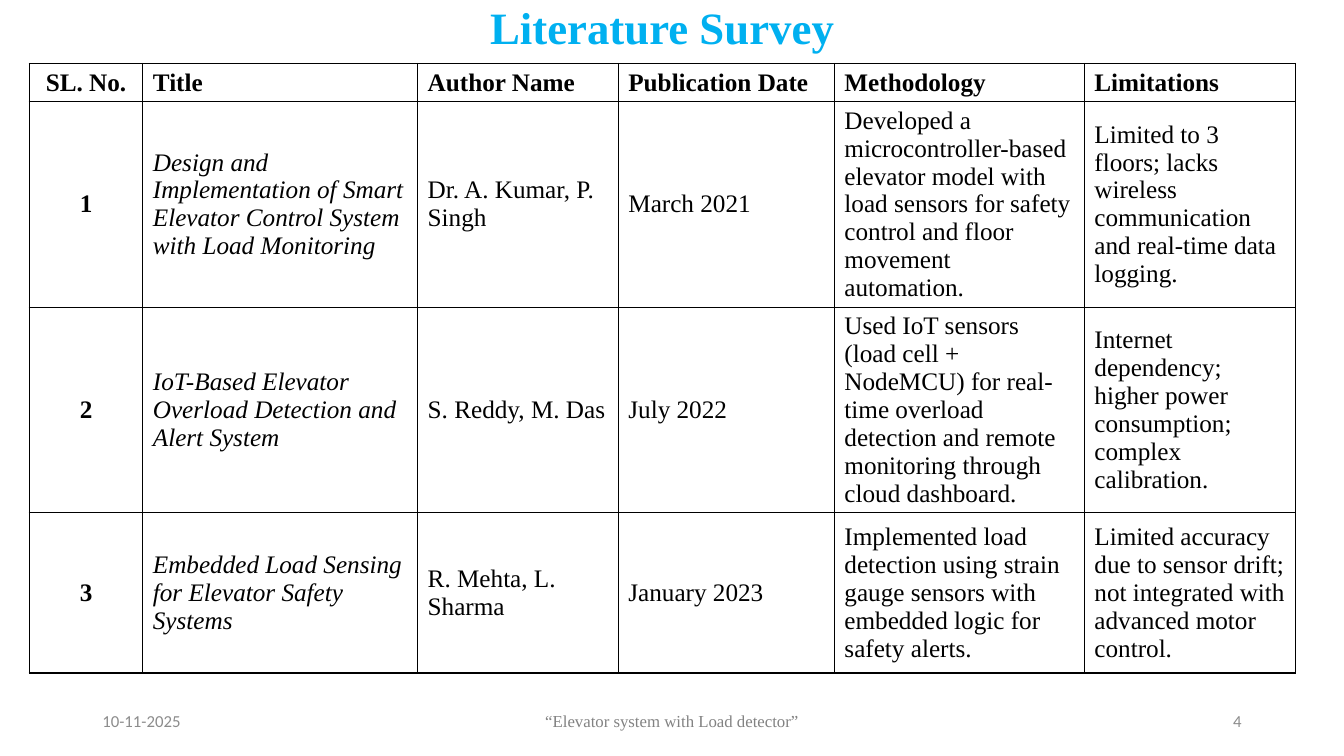
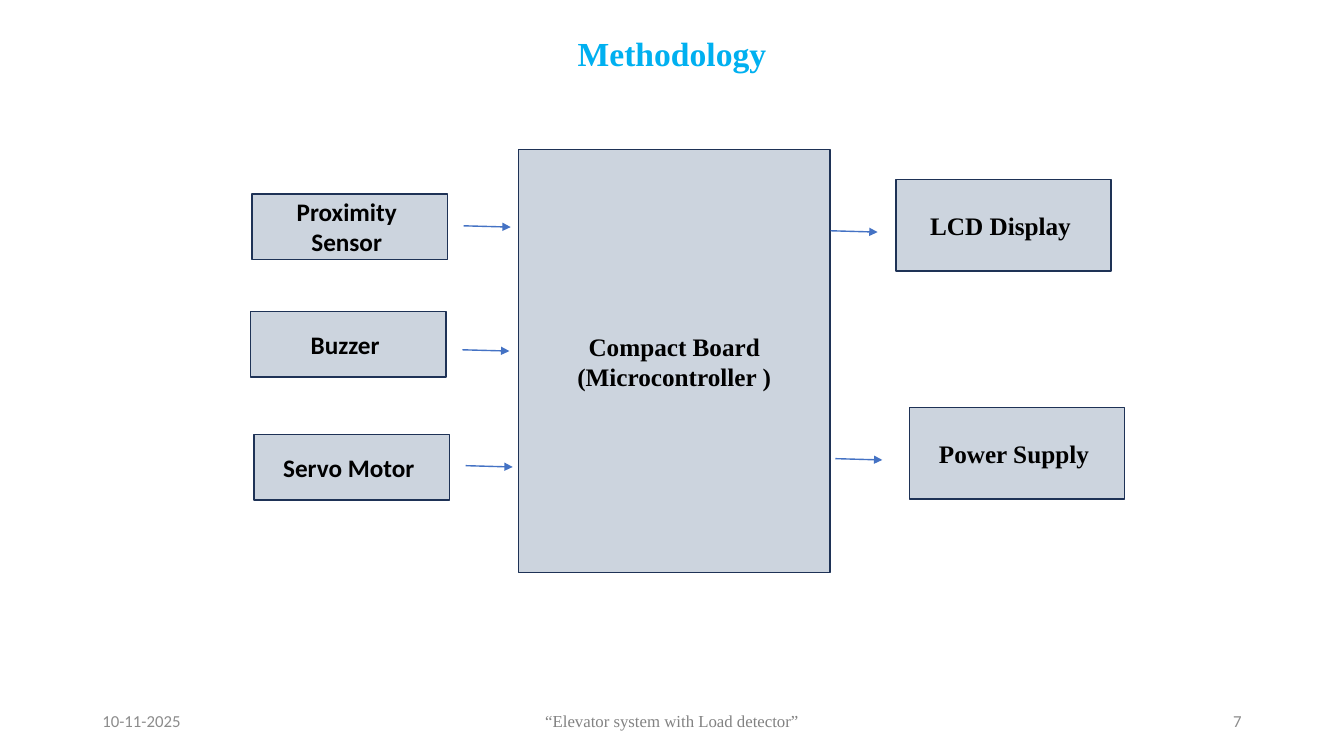
"""Build two slides on an elevator project: a survey table and a block chart."""
from dataclasses import dataclass

from lxml import etree
from pptx import Presentation
from pptx.dml.color import RGBColor
from pptx.enum.shapes import MSO_CONNECTOR, MSO_SHAPE
from pptx.enum.text import MSO_ANCHOR, MSO_AUTO_SIZE, PP_ALIGN
from pptx.oxml.ns import qn
from pptx.util import Inches, Pt

LEFT, MID, RIGHT = PP_ALIGN.LEFT, PP_ALIGN.CENTER, PP_ALIGN.RIGHT
CENTRE = MSO_ANCHOR.MIDDLE
FIXED = MSO_AUTO_SIZE.NONE
RECT = MSO_SHAPE.RECTANGLE
LINE = MSO_CONNECTOR.STRAIGHT
WIDE, HIGH = Inches(13.333), Inches(7.5)


@dataclass(frozen=True)
class Theme:
    """Colours, fonts and type sizes of the deck."""
    ink: str = "000000"
    title: str = "00B0F0"
    foot: str = "828282"
    faint: str = "8C8C8C"
    block: str = "CCD4DE"
    edge: str = "1E3256"
    arrow: str = "4472C4"
    serif: str = "Times New Roman"
    sans: str = "Calibri"
    large: int = 32
    head: int = 24
    body: int = 18
    small: int = 12
    pitch: float = 19.9
    stroke: int = 1
    pad: float = 1.1
    shift: float = 0.45


T = Theme()

COLS = (8.45, 20.45, 14.93, 16.08, 18.6, 15.7)
ROWS = (5.03, 27.2, 27.2, 21.2)
SURVEY = (
    ("SL. No.", "Title", "Author Name", "Publication Date", "Methodology",
     "Limitations"),
    ("1",
     "Design and Implementation of Smart Elevator Control System with Load Monitoring",
     "Dr. A. Kumar, P. Singh", "March 2021",
     "Developed a microcontroller-based elevator model with load sensors for safety "
     "control and floor movement automation.",
     "Limited to 3 floors; lacks wireless communication and real-time data logging."),
    ("2", "IoT-Based Elevator Overload Detection and Alert System",
     "S. Reddy, M. Das", "July 2022",
     "Used IoT sensors (load cell + NodeMCU) for real-time overload detection and "
     "remote monitoring through cloud dashboard.",
     "Internet dependency; higher power consumption; complex calibration."),
    ("3", "Embedded Load Sensing for Elevator Safety Systems",
     "R. Mehta, L. Sharma", "January 2023",
     "Implemented load detection using strain gauge sensors with embedded logic for "
     "safety alerts.",
     "Limited accuracy due to sensor drift; not integrated with advanced motor control."),
)

INPUTS = (
    ("Proximity Sensor", 18.75, 25.65),
    ("Buzzer", 18.63, 41.2),
    ("Servo Motor", 18.9, 57.47),
)
OUTPUTS = (("LCD Display", 66.68, 23.73), ("Power Supply", 67.68, 53.9))
STARTS = ((34.5, 29.87), (34.4, 46.27), (34.65, 61.6), (61.8, 30.53), (62.15, 60.67))
REACH = (3.5, 0.17)


def across(share):
    """Turn a percent of the slide width into a length."""
    return round(WIDE * share / 100)


def down(share):
    """Turn a percent of the slide height into a length."""
    return round(HIGH * share / 100)


def area(left, top, width, height):
    """Turn four percents into a place on the slide."""
    return across(left), down(top), across(width), down(height)


def colour(code):
    """Read a colour code."""
    return RGBColor.from_string(code)


def write(frame, lines, align=LEFT, face=T.serif, size=T.body, ink=T.ink,
          bold=False, slant=False, pitch=None):
    """Fill a text frame, one run to a line."""
    for place, line in enumerate(lines):
        para = frame.add_paragraph() if place else frame.paragraphs[0]
        para.alignment = align
        if pitch:
            para.line_spacing = pitch
        run = para.add_run()
        run.text = line
        font = run.font
        font.name, font.size = face, Pt(size)
        font.bold, font.italic = bold, slant
        font.color.rgb = colour(ink)


def label(slide, text, place, **style):
    """Add a line of plain text."""
    frame = slide.shapes.add_textbox(*place).text_frame
    frame.word_wrap = True
    frame.vertical_anchor = CENTRE
    write(frame, [text], size=T.small, **style)


def start(deck, title, place, size, number):
    """Add a slide with its title and footer."""
    slide = deck.slides.add_slide(deck.slide_layouts[5])
    shape = slide.shapes.title
    shape.left, shape.top, shape.width, shape.height = place
    frame = shape.text_frame
    frame.auto_size = FIXED
    frame.vertical_anchor = CENTRE
    write(frame, [title], MID, size=size, ink=T.title, bold=True, pitch=0.9)
    foot = (
        ("10-11-2025", 6.88, 22.5, LEFT, T.sans, T.faint),
        ("“Elevator system with Load detector”", 33.13, 33.75, MID, T.serif, T.foot),
        (number, 70.63, 22.5, RIGHT, T.sans, T.faint),
    )
    for text, left, width, align, face, ink in foot:
        label(slide, text, area(left, 92.67, width, 5.33),
              align=align, face=face, ink=ink)
    return slide


def border(cell):
    """Draw a thin line on each side of a cell."""
    props = cell._tc.get_or_add_tcPr()
    for side in ("lnL", "lnR", "lnT", "lnB"):
        line = etree.SubElement(props, qn(f"a:{side}"), w=str(Pt(T.stroke)))
        fill = etree.SubElement(line, qn("a:solidFill"))
        etree.SubElement(fill, qn("a:srgbClr"), val=T.ink)


def grid(slide, data, left, top):
    """Add a ruled table with a bold head and first column."""
    place = area(left, top, sum(COLS), sum(ROWS))
    table = slide.shapes.add_table(len(ROWS), len(COLS), *place).table
    table.first_row = table.horz_banding = False
    for col, width in zip(table.columns, COLS):
        col.width = across(width)
    for row, height in zip(table.rows, ROWS):
        row.height = down(height)
    for y, line in enumerate(data):
        for x, text in enumerate(line):
            cell = table.cell(y, x)
            border(cell)
            cell.fill.background()
            cell.vertical_anchor = CENTRE
            cell.margin_top = cell.margin_bottom = 0
            write(cell.text_frame, [text], LEFT if x else MID,
                  bold=y == 0 or x == 0, slant=y > 0 and x == 1,
                  pitch=Pt(T.pitch))


def block(slide, lines, place, face=T.serif, shift=T.shift):
    """Add a framed box with bold centred text."""
    shape = slide.shapes.add_shape(RECT, *place)
    shape.shadow.inherit = False
    shape.fill.solid()
    shape.fill.fore_color.rgb = colour(T.block)
    shape.line.color.rgb = colour(T.edge)
    shape.line.width = Pt(T.stroke)
    frame = shape.text_frame
    frame.word_wrap = True
    frame.vertical_anchor = CENTRE
    frame.margin_left = across(T.pad)
    frame.margin_right = across(T.pad + shift)
    write(frame, lines, MID, face, bold=True)


def arrow(slide, left, top):
    """Add a short arrow that points right."""
    wide, drop = REACH
    link = slide.shapes.add_connector(
        LINE, across(left), down(top), across(left + wide), down(top + drop))
    link.line.color.rgb = colour(T.arrow)
    link.line.width = Pt(T.stroke)
    props = link.element.spPr
    etree.SubElement(props.find(qn("a:ln")), qn("a:tailEnd"), type="triangle")
    etree.SubElement(props, qn("a:effectLst"))


def survey(deck):
    """Build the survey slide."""
    slide = start(deck, "Literature Survey", area(5.78, 0, 87, 7.87), T.large, "4")
    grid(slide, SURVEY, 2.18, 8.4)


def method(deck):
    """Build the block chart slide."""
    slide = start(deck, "Methodology", area(0, 2, 100, 10.8), T.head, "7")
    block(slide, ["Compact Board", "(Microcontroller )"],
          area(38.58, 19.77, 23.18, 56), shift=0)
    for text, left, top in INPUTS:
        block(slide, [text], area(left, top, 14.55, 8.67), T.sans)
    for text, left, top in OUTPUTS:
        block(slide, [text], area(left, top, 15.98, 12.13))
    for left, top in STARTS:
        arrow(slide, left, top)


def main():
    """Build and save the deck."""
    deck = Presentation()
    deck.slide_width, deck.slide_height = WIDE, HIGH
    survey(deck)
    method(deck)
    deck.save("out.pptx")


if __name__ == "__main__":
    main()
